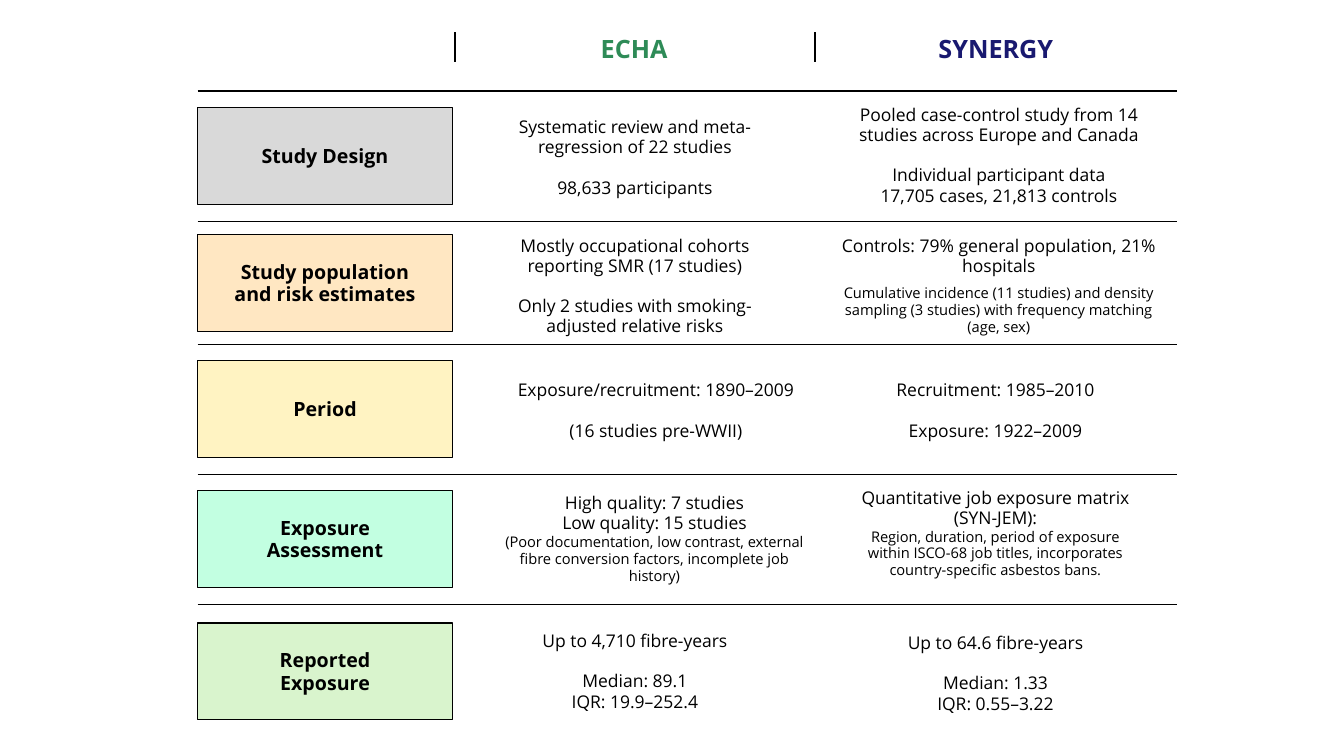
from lxml.etree import SubElement
from pptx import Presentation
from pptx.dml.color import RGBColor
from pptx.enum.shapes import MSO_CONNECTOR, MSO_SHAPE
from pptx.enum.text import MSO_ANCHOR, MSO_AUTO_SIZE, PP_ALIGN
from pptx.oxml.ns import qn
from pptx.util import Cm, Pt

BODY, DETAIL, LABEL, HEADING = 12.5, 10.5, 14, 18
LINE_SPACING = {BODY: 14.4, DETAIL: 12.1, LABEL: 16.1, HEADING: 25.2}
GAP = LINE_SPACING[BODY]
TABLE_LEFT, TABLE_RIGHT = 4.98, 29.67
LABEL_WIDTH, LABEL_HEIGHT = 6.43, 2.44


def color(hex_string):
    return RGBColor.from_string(hex_string)


class ComparisonSlide:
    font_name = "Open Sans"
    black = "000000"

    def __init__(self, presentation):
        self.slide = presentation.slides.add_slide(presentation.slide_layouts[4])

    def line(self, start_x, start_y, end_x, end_y, width):
        connector = self.slide.shapes.add_connector(
            MSO_CONNECTOR.STRAIGHT, Cm(start_x), Cm(start_y), Cm(end_x), Cm(end_y))
        connector.line.color.rgb = color(self.black)
        connector.line.width = Pt(width)
        SubElement(connector.element.spPr, qn("a:effectLst"))

    def fill_text(self, text_frame, lines, font_color, bold=False, side_margin=0):
        text_frame.word_wrap = True
        text_frame.auto_size = MSO_AUTO_SIZE.NONE
        text_frame.margin_left = text_frame.margin_right = Cm(side_margin)
        text_frame.margin_top = text_frame.margin_bottom = 0
        text_frame.text = "\n".join(text for text, size, space in lines)
        for paragraph, (text, size, space) in zip(text_frame.paragraphs, lines):
            paragraph.alignment = PP_ALIGN.CENTER
            paragraph.line_spacing = Pt(LINE_SPACING[size])
            paragraph.space_before = Pt(space)
            for run in paragraph.runs:
                run.font.name = self.font_name
                run.font.size = Pt(size)
                run.font.bold = bold
                run.font.color.rgb = color(font_color)

    def heading(self, placeholder_index, text, left, font_color):
        placeholder = self.slide.placeholders[placeholder_index]
        placeholder.left, placeholder.top = Cm(left), Cm(0.71)
        placeholder.width, placeholder.height = Cm(4.29), Cm(0.86)
        placeholder.text_frame.vertical_anchor = MSO_ANCHOR.TOP
        self.fill_text(placeholder.text_frame, [(text, HEADING, 0)], font_color, True)

    def label(self, text, top, fill, side_margin):
        shape = self.slide.shapes.add_shape(
            MSO_SHAPE.RECTANGLE, Cm(TABLE_LEFT), Cm(top), Cm(LABEL_WIDTH), Cm(LABEL_HEIGHT))
        shape.shadow.inherit = False
        shape.fill.solid()
        shape.fill.fore_color.rgb = color(fill)
        shape.line.color.rgb = color(self.black)
        shape.line.width = Pt(0.75)
        shape.text_frame.vertical_anchor = MSO_ANCHOR.MIDDLE
        self.fill_text(shape.text_frame, [(text, LABEL, 0)], self.black, True, side_margin)

    def cell(self, left, top, width, height, lines):
        box = self.slide.shapes.add_textbox(Cm(left), Cm(top), Cm(width), Cm(height))
        self.fill_text(box.text_frame, lines, self.black)

    def remove_empty_placeholders(self):
        for placeholder in list(self.slide.placeholders):
            if not placeholder.text_frame.text:
                placeholder.element.getparent().remove(placeholder.element)


ROWS = [
    ("Study Design", 2.72, "D9D9D9", 1.07, [
        (12.45, 2.95, 7.11, 2.01, [
            ("Systematic review and meta-regression of 22 studies", BODY, 0),
            ("98,633 participants", BODY, GAP)]),
        (21.13, 2.64, 8.1, 2.51, [
            ("Pooled case-control study from 14 studies across Europe and Canada", BODY, 0),
            ("Individual participant data", BODY, GAP),
            ("17,705 cases, 21,813 controls", BODY, 0)])]),
    ("Study population and risk estimates", 5.92, "FFE7C2", 0.78, [
        (12.45, 5.94, 7.11, 2.51, [
            ("Mostly occupational cohorts reporting SMR (17 studies)", BODY, 0),
            ("Only 2 studies with smoking-adjusted relative risks", BODY, GAP)]),
        (21.13, 5.94, 8.1, 2.49, [
            ("Controls: 79% general population, 21% hospitals", BODY, 0),
            ("Cumulative incidence (11 studies) and density sampling (3 studies) "
             "with frequency matching (age, sex)", DETAIL, 6)])]),
    ("Period", 9.09, "FFF3C2", 1.07, [
        (11.91, 9.58, 9.25, 1.5, [
            ("Exposure/recruitment: 1890–2009", BODY, 0),
            ("(16 studies pre-WWII)", BODY, GAP)]),
        (21.54, 9.58, 7.11, 1.5, [
            ("Recruitment: 1985–2010", BODY, 0),
            ("Exposure: 1922–2009", BODY, GAP)])]),
    ("Exposure Assessment", 12.37, "C2FFE1", 1.07, [
        (12.45, 12.42, 8.1, 2.26, [
            ("High quality: 7 studies", BODY, 0),
            ("Low quality: 15 studies", BODY, 0),
            ("(Poor documentation, low contrast, external fibre conversion factors, "
             "incomplete job history)", DETAIL, 0)]),
        (21.54, 12.29, 7.11, 2.29, [
            ("Quantitative job exposure matrix (SYN-JEM):", BODY, 0),
            ("Region, duration, period of exposure within ISCO-68 job titles, "
             "incorporates country-specific asbestos bans.", DETAIL, 0)])]),
    ("Reported Exposure", 15.7, "D9F4CD", 1.07, [
        (12.45, 15.9, 7.11, 2.01, [
            ("Up to 4,710 fibre-years", BODY, 0),
            ("Median: 89.1", BODY, GAP),
            ("IQR: 19.9–252.4", BODY, 0)]),
        (21.54, 15.95, 7.11, 2.01, [
            ("Up to 64.6 fibre-years", BODY, 0),
            ("Median: 1.33", BODY, GAP),
            ("IQR: 0.55–3.22", BODY, 0)])]),
]


def main():
    presentation = Presentation()
    presentation.slide_width, presentation.slide_height = Cm(33.88), Cm(19.05)
    comparison = ComparisonSlide(presentation)

    comparison.heading(1, "ECHA", 13.84, "2E8B57")
    comparison.heading(3, "SYNERGY", 22.96, "191970")
    comparison.remove_empty_placeholders()

    comparison.line(TABLE_LEFT, 2.29, TABLE_RIGHT, 2.29, 1.5)
    for rule_y in (5.59, 8.69, 11.96, 15.24):
        comparison.line(TABLE_LEFT, rule_y, TABLE_RIGHT, rule_y, 0.75)
    for divider_x in (11.46, 20.55):
        comparison.line(divider_x, 0.81, divider_x, 1.57, 1.5)

    for label, top, fill, side_margin, cells in ROWS:
        comparison.label(label, top, fill, side_margin)
        for cell in cells:
            comparison.cell(*cell)

    presentation.save("out.pptx")


if __name__ == "__main__":
    main()
